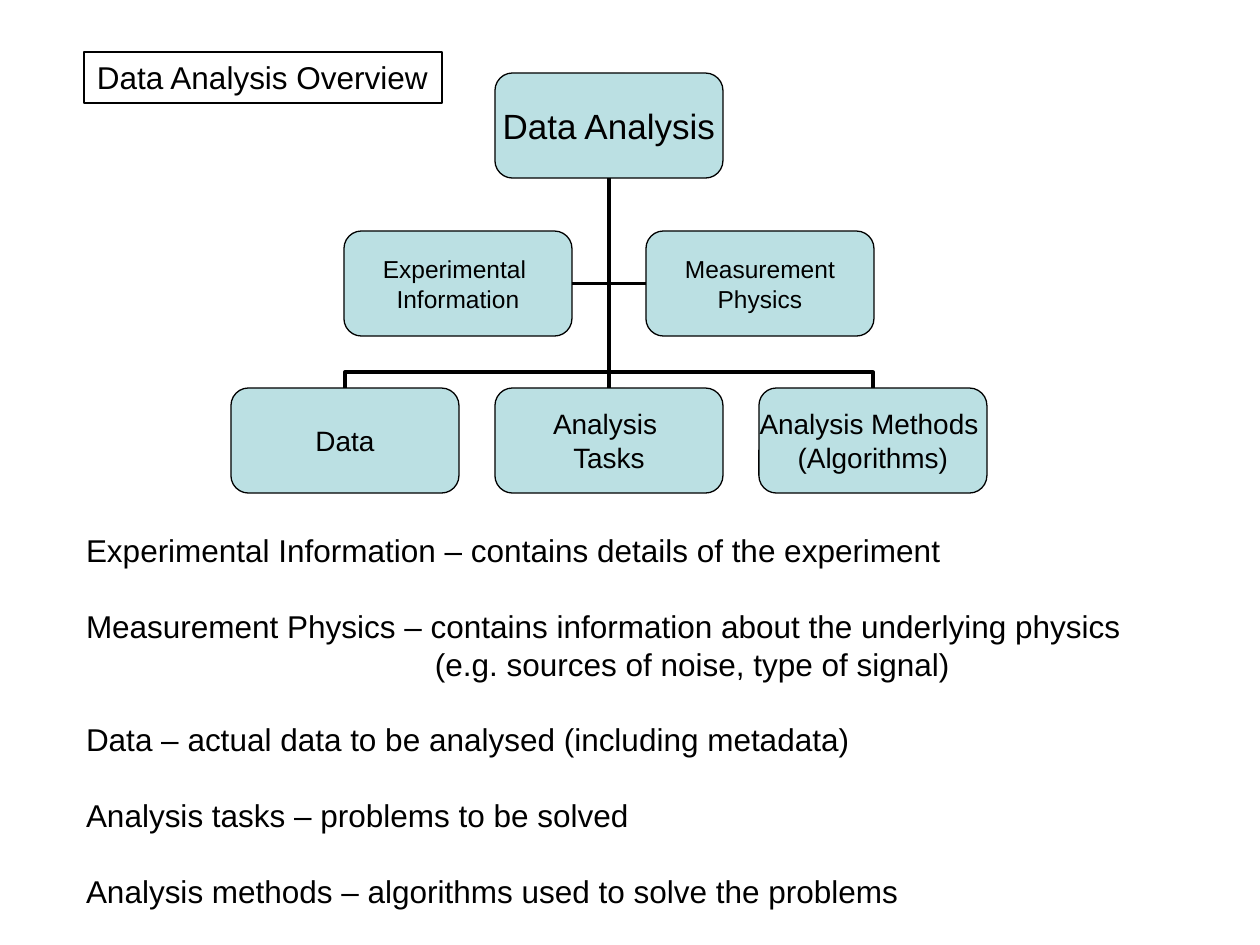
from dataclasses import dataclass

from lxml import etree
from pptx import Presentation
from pptx import util as u
from pptx.dml.color import RGBColor
from pptx.enum import shapes, text
from pptx.oxml.ns import qn

EMU_PER_PX = 914400 / 126


@dataclass(frozen=True)
class Theme:
    font: str = "Arial"
    ink: RGBColor = RGBColor(0x00, 0x00, 0x00)
    node: RGBColor = RGBColor(0xBB, 0xE0, 0xE3)
    root_size: int = 20
    leaf_size: int = 16
    side_size: int = 14
    text_size: int = 18
    outline: float = 0.75
    link: float = 2.25
    line_spacing: float = 1.0


THEME = Theme()
NODE_W, NODE_H = 228, 105
AXIS = 609
ROOT_TOP, SIDE_TOP, LEAF_TOP = 73, 231, 388
SIDE_OFFSET, LEAF_OFFSET = 151, 264
CONTINUATION = 349
DEFINITIONS = [
    ("Experimental Information – contains details of the experiment", 0),
    ("Measurement Physics – contains information about the underlying physics", 0),
    ("(e.g. sources of noise, type of signal)", CONTINUATION),
    ("Data – actual data to be analysed (including metadata)", 0),
    ("Analysis tasks – problems to be solved", 0),
    ("Analysis methods – algorithms used to solve the problems", 0),
]


def px(length):
    return u.Emu(round(length * EMU_PER_PX))


def set_all(target, values):
    for name, value in values.items():
        setattr(target, name, value)


def place(shape, left, top, width, height):
    set_all(shape, {"left": px(left), "top": px(top),
                    "width": px(width), "height": px(height)})


def set_line(shape, weight):
    shape.line.color.rgb = THEME.ink
    shape.line.width = u.Pt(weight)


def set_frame(frame, anchor, wrap, inset_x=0, inset_y=0):
    set_all(frame, {
        "auto_size": text.MSO_AUTO_SIZE.NONE, "word_wrap": wrap,
        "vertical_anchor": anchor,
        "margin_left": px(inset_x), "margin_right": px(inset_x),
        "margin_top": px(inset_y), "margin_bottom": px(inset_y)})


def write(frame, lines, size, align):
    for index, line in enumerate(lines):
        paragraph = frame.paragraphs[0] if index == 0 else frame.add_paragraph()
        paragraph.text = line
        set_all(paragraph, {"alignment": align, "space_before": u.Pt(0),
                            "line_spacing": THEME.line_spacing})
        set_all(paragraph.font, {"name": THEME.font, "size": u.Pt(size)})
        paragraph.font.color.rgb = THEME.ink


def add_title(slide):
    title = slide.shapes.title
    place(title, 84, 52, 358, 51)
    set_line(title, THEME.outline)
    set_frame(title.text_frame, text.MSO_ANCHOR.TOP, False, 13, 6)
    write(title.text_frame, ["Data Analysis Overview"], THEME.text_size,
          text.PP_ALIGN.LEFT)


def add_definitions(slide):
    body = slide.placeholders[1]
    place(body, 73, 525, 1080, 391)
    set_frame(body.text_frame, text.MSO_ANCHOR.TOP, True, 13, 6)
    write(body.text_frame, [line for line, _ in DEFINITIONS], THEME.text_size,
          text.PP_ALIGN.LEFT)
    for index, (_, indent) in enumerate(DEFINITIONS):
        paragraph = body.text_frame.paragraphs[index]
        if index and not indent:
            paragraph.space_before = px(38)
        properties = paragraph._p.get_or_add_pPr()
        properties.set("marL", str(px(indent)))
        properties.set("indent", "0")
        etree.SubElement(properties, qn("a:buNone"))


def add_node(slide, offset, top, lines, size):
    """Add a rounded box centred at offset from the chart's axis."""
    node = slide.shapes.add_shape(
        shapes.MSO_SHAPE.ROUNDED_RECTANGLE, px(AXIS + offset - NODE_W // 2),
        px(top), px(NODE_W), px(NODE_H))
    node.shadow.inherit = False
    node.fill.solid()
    node.fill.fore_color.rgb = THEME.node
    set_line(node, THEME.outline)
    set_frame(node.text_frame, text.MSO_ANCHOR.MIDDLE, False)
    write(node.text_frame, lines, size, text.PP_ALIGN.CENTER)
    return node


def add_link(slide, kind, x1, y1, x2, y2):
    link = slide.shapes.add_connector(kind, px(x1), px(y1), px(x2), px(y2))
    set_line(link, THEME.link)
    etree.SubElement(link._element.spPr, qn("a:effectLst"))
    return link


def add_branch(slide, offset):
    """Add an elbow that leaves the root downwards and enters a leaf's top."""
    start = ROOT_TOP + NODE_H
    drop, reach = LEAF_TOP - start, abs(offset)
    # Created rightwards to stay unflipped; its box is then turned by 90 degrees.
    branch = add_link(slide, shapes.MSO_CONNECTOR.ELBOW, AXIS, start,
                      AXIS + reach, LEAF_TOP)
    place(branch, AXIS + (offset - drop) / 2, start + (drop - reach) / 2,
          drop, reach)
    properties = branch._element.spPr
    frame = properties.find(qn("a:xfrm"))
    frame.set("rot", "5400000")
    if offset > 0:
        frame.set("flipV", "1")
    guides = properties.find(qn("a:prstGeom")).find(qn("a:avLst"))
    etree.SubElement(guides, qn("a:gd"), name="adj1", fmla="val 92500")


def add_chart_tree(slide):
    root = add_node(slide, 0, ROOT_TOP, ["Data Analysis"], THEME.root_size)
    leaves = [
        add_node(slide, column * LEAF_OFFSET, LEAF_TOP, lines, THEME.leaf_size)
        for column, lines in [(-1, ["Data"]), (0, ["Analysis ", "Tasks"]),
                              (1, ["Analysis Methods ", "(Algorithms)"])]]
    trunk = add_link(slide, shapes.MSO_CONNECTOR.STRAIGHT,
                     AXIS, ROOT_TOP + NODE_H, AXIS, LEAF_TOP)
    trunk.begin_connect(root, 2)
    trunk.end_connect(leaves[1], 0)
    for side, site, lines in [(-1, 3, ["Experimental ", "Information"]),
                              (1, 1, ["Measurement", "Physics"])]:
        node = add_node(slide, side * SIDE_OFFSET, SIDE_TOP, lines,
                        THEME.side_size)
        middle = SIDE_TOP + NODE_H / 2
        edge = AXIS + side * (SIDE_OFFSET - NODE_W // 2)
        twig = add_link(slide, shapes.MSO_CONNECTOR.STRAIGHT,
                        edge, middle, AXIS, middle)
        twig.begin_connect(node, site)
        add_branch(slide, side * LEAF_OFFSET)


def main():
    deck = Presentation()
    deck.slide_width, deck.slide_height = u.Inches(10), u.Inches(7.5)
    slide = deck.slides.add_slide(deck.slide_layouts[1])
    add_title(slide)
    add_chart_tree(slide)
    add_definitions(slide)
    deck.save("out.pptx")


if __name__ == "__main__":
    main()
